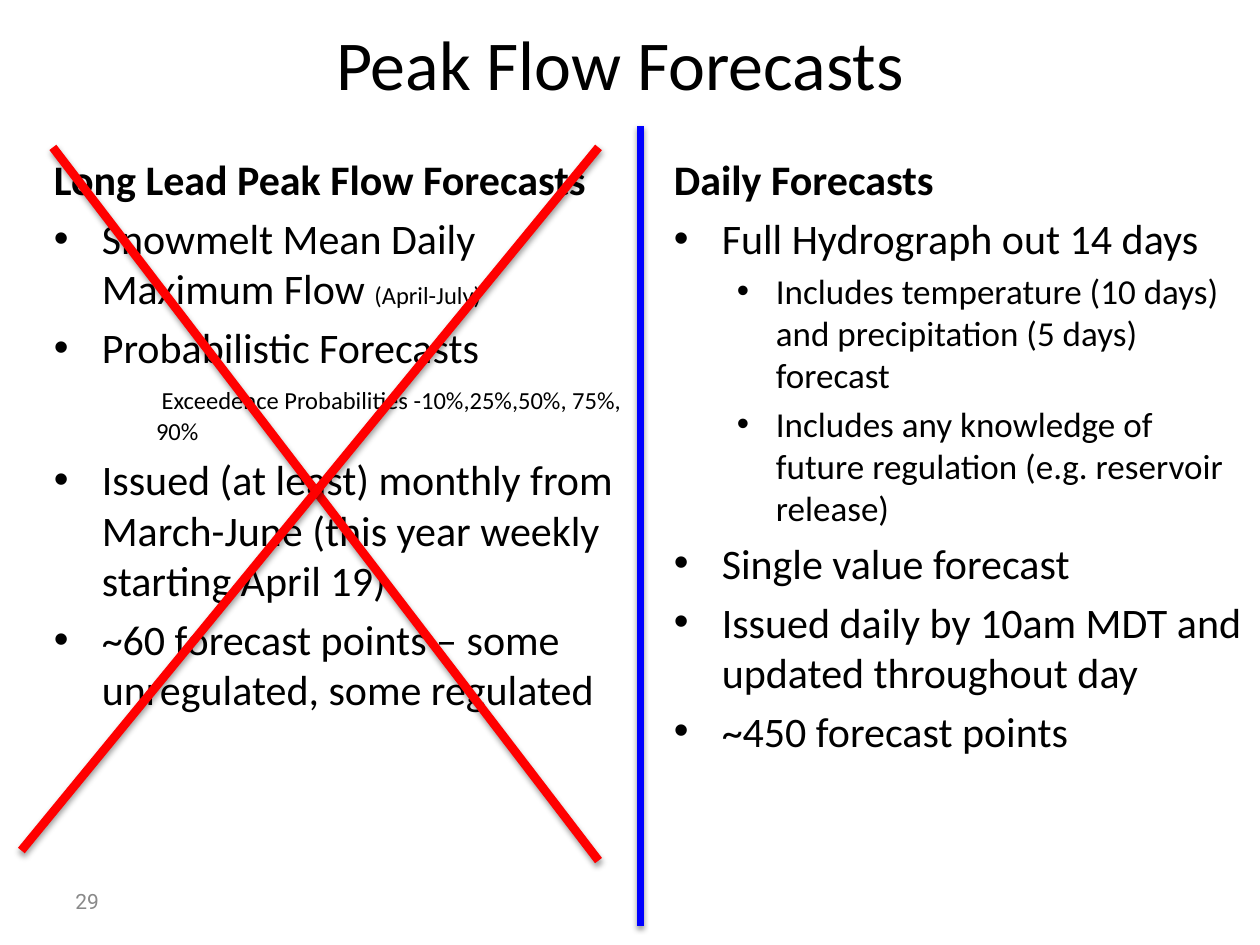
from dataclasses import dataclass

import pptx
import pptx.dml.color
import pptx.enum.text
import pptx.oxml
import pptx.oxml.ns
import pptx.util

Inches = pptx.util.Inches
Pt = pptx.util.Pt
RGBColor = pptx.dml.color.RGBColor
Anchor = pptx.enum.text.MSO_ANCHOR
Align = pptx.enum.text.PP_ALIGN

BLACK = RGBColor(0x00, 0x00, 0x00)
GREY = RGBColor(0x89, 0x89, 0x89)
BLUE = RGBColor(0x00, 0x00, 0xFF)
RED = RGBColor(0xFF, 0x00, 0x00)

DRAWING_NS = pptx.oxml.ns.nsdecls("a")
LINE_SHADOW = (
    f'<a:effectLst {DRAWING_NS}><a:outerShdw blurRad="{Pt(3.1)}" dist="{Pt(1.6)}" '
    'dir="5400000" rotWithShape="0"><a:srgbClr val="000000"><a:alpha val="38000"/>'
    "</a:srgbClr></a:outerShdw></a:effectLst>"
)


@dataclass(frozen=True)
class Style:
    size: float
    margin: float = 0
    hanging: float = 0
    bullet: bool = False
    bold: bool = False


HEADING = Style(24, bold=True)
POINT = Style(24, margin=0.38, hanging=0.38, bullet=True)
SUBPOINT = Style(20, margin=0.81, hanging=0.31, bullet=True)
DETAIL = Style(18, margin=0.81, hanging=0.31)


@dataclass(frozen=True)
class Entry:
    style: Style
    text: str
    small_text: str = ""


@dataclass(frozen=True)
class Stroke:
    start: tuple[float, float]
    end: tuple[float, float]
    color: RGBColor
    width: float


COLUMN_TOP, COLUMN_WIDTH, COLUMN_HEIGHT = 1.17, 4.75, 5.75
SMALL_SIZE = 14

LONG_LEAD = [
    Entry(HEADING, "Long Lead Peak Flow Forecasts"),
    Entry(POINT, "Snowmelt Mean Daily Maximum Flow ", "(April-July)"),
    Entry(POINT, "Probabilistic Forecasts"),
    Entry(DETAIL, "\t", " Exceedence Probabilities -10%,25%,50%, 75%, 90%"),
    Entry(POINT, "Issued (at least) monthly from March-June "
                 "(this year weekly starting April 19)"),
    Entry(POINT, "~60 forecast points – some unregulated, some regulated"),
]
DAILY = [
    Entry(HEADING, "Daily Forecasts"),
    Entry(POINT, "Full Hydrograph out 14 days"),
    Entry(SUBPOINT, "Includes temperature (10 days) and precipitation (5 days) forecast"),
    Entry(SUBPOINT, "Includes any knowledge of future regulation (e.g. reservoir release)"),
    Entry(POINT, "Single value forecast"),
    Entry(POINT, "Issued daily by 10am MDT and updated throughout day"),
    Entry(POINT, "~450 forecast points"),
]
DIVIDER = Stroke((5.08, 1), (5.08, 7.35), BLUE, 4)
CROSS_OUT = [
    Stroke((0.42, 1.17), (4.75, 6.83), RED, 5),
    Stroke((4.75, 1.17), (0.17, 6.75), RED, 5),
]


def add_run(paragraph, text: str, *, size: float, bold: bool = False,
            color: RGBColor = BLACK, font: str = "Calibri") -> None:
    run = paragraph.add_run()
    run.text = text
    run.font.size = Pt(size)
    run.font.bold = bold
    run.font.name = font
    run.font.color.rgb = color


def format_paragraph(paragraph, style: Style) -> None:
    """Set the hanging indent and the bullet of a paragraph."""
    properties = paragraph._p.get_or_add_pPr()
    properties.set("marL", str(Inches(style.margin)))
    properties.set("indent", str(Inches(-style.hanging)))
    if style.bullet:
        properties.append(pptx.oxml.parse_xml(
            f'<a:buFont {DRAWING_NS} typeface="Arial"/>'))
        properties.append(pptx.oxml.parse_xml(f'<a:buChar {DRAWING_NS} char="•"/>'))


def add_column(slide, left: float, entries: list[Entry]) -> None:
    frame = slide.shapes.add_textbox(
        Inches(left), Inches(COLUMN_TOP), Inches(COLUMN_WIDTH), Inches(COLUMN_HEIGHT)
    ).text_frame
    frame.word_wrap = True
    for index, entry in enumerate(entries):
        style = entry.style
        paragraph = frame.add_paragraph() if index else frame.paragraphs[0]
        format_paragraph(paragraph, style)
        if index:
            paragraph.space_before = Pt(0.2 * style.size)
        add_run(paragraph, entry.text, size=style.size, bold=style.bold)
        if entry.small_text:
            add_run(paragraph, entry.small_text, size=SMALL_SIZE)


def add_stroke(shapes, stroke: Stroke) -> None:
    line = shapes.add_connector(
        pptx.enum.shapes.MSO_CONNECTOR.STRAIGHT,
        *(Inches(value) for value in stroke.start + stroke.end))
    line.line.color.rgb = stroke.color
    line.line.width = Pt(stroke.width)
    line._element.spPr.append(pptx.oxml.parse_xml(LINE_SHADOW))


def add_title(slide) -> None:
    title = slide.shapes.title
    title.left, title.top = Inches(0.42), Inches(0)
    title.width, title.height = Inches(9), Inches(1)
    title.text_frame.vertical_anchor = Anchor.MIDDLE
    heading = title.text_frame.paragraphs[0]
    heading.alignment = Align.CENTER
    add_run(heading, "Peak Flow Forecasts", size=40)


def add_page_number(slide) -> None:
    frame = slide.shapes.add_textbox(
        Inches(0.5), Inches(6.95), Inches(2.33), Inches(0.4)).text_frame
    frame.word_wrap = True
    frame.vertical_anchor = Anchor.MIDDLE
    add_run(frame.paragraphs[0], "29", size=12, color=GREY, font="Roboto")


def main() -> None:
    deck = pptx.Presentation()
    deck.slide_width, deck.slide_height = Inches(10), Inches(7.5)
    slide = deck.slides.add_slide(deck.slide_layouts.get_by_name("Title Only"))
    add_title(slide)
    add_column(slide, 0.33, LONG_LEAD)
    add_page_number(slide)
    add_stroke(slide.shapes, DIVIDER)
    add_column(slide, 5.25, DAILY)
    cross = slide.shapes.add_group_shape()
    for stroke in CROSS_OUT:
        add_stroke(cross.shapes, stroke)
    deck.save("out.pptx")


if __name__ == "__main__":
    main()
